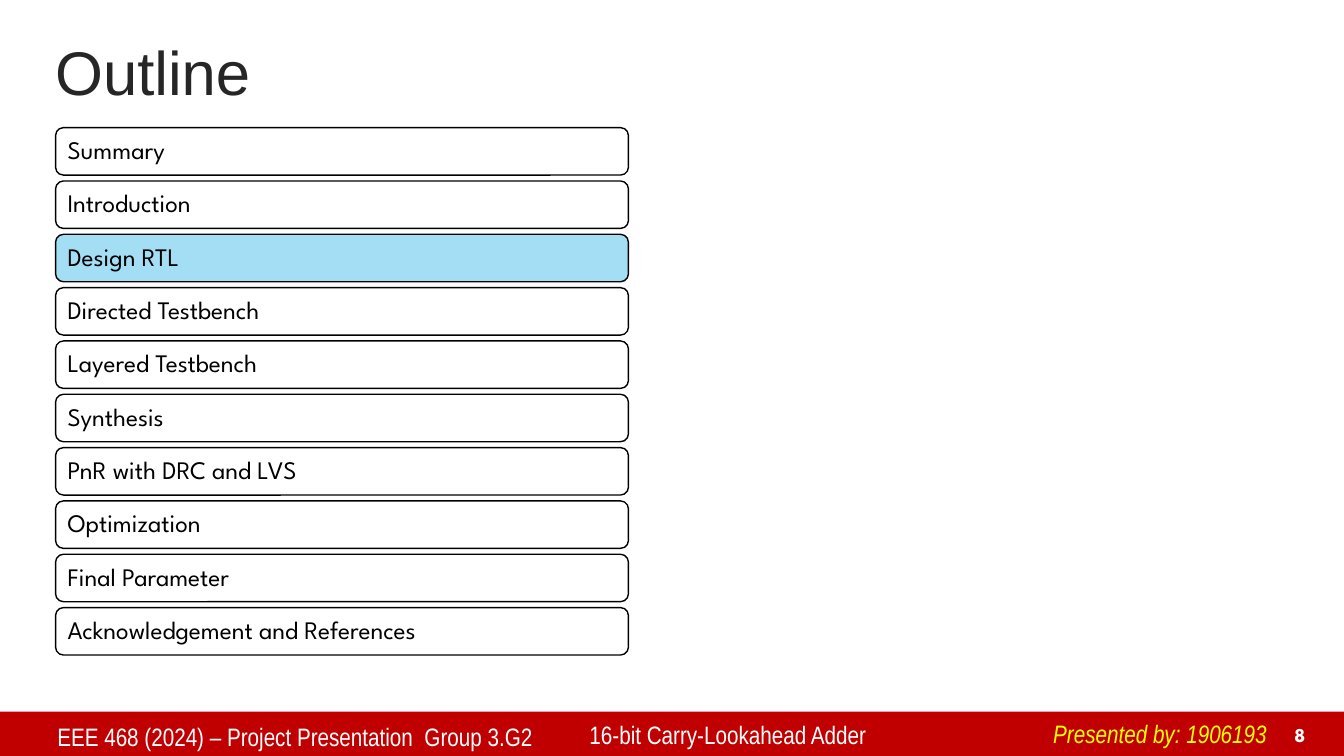
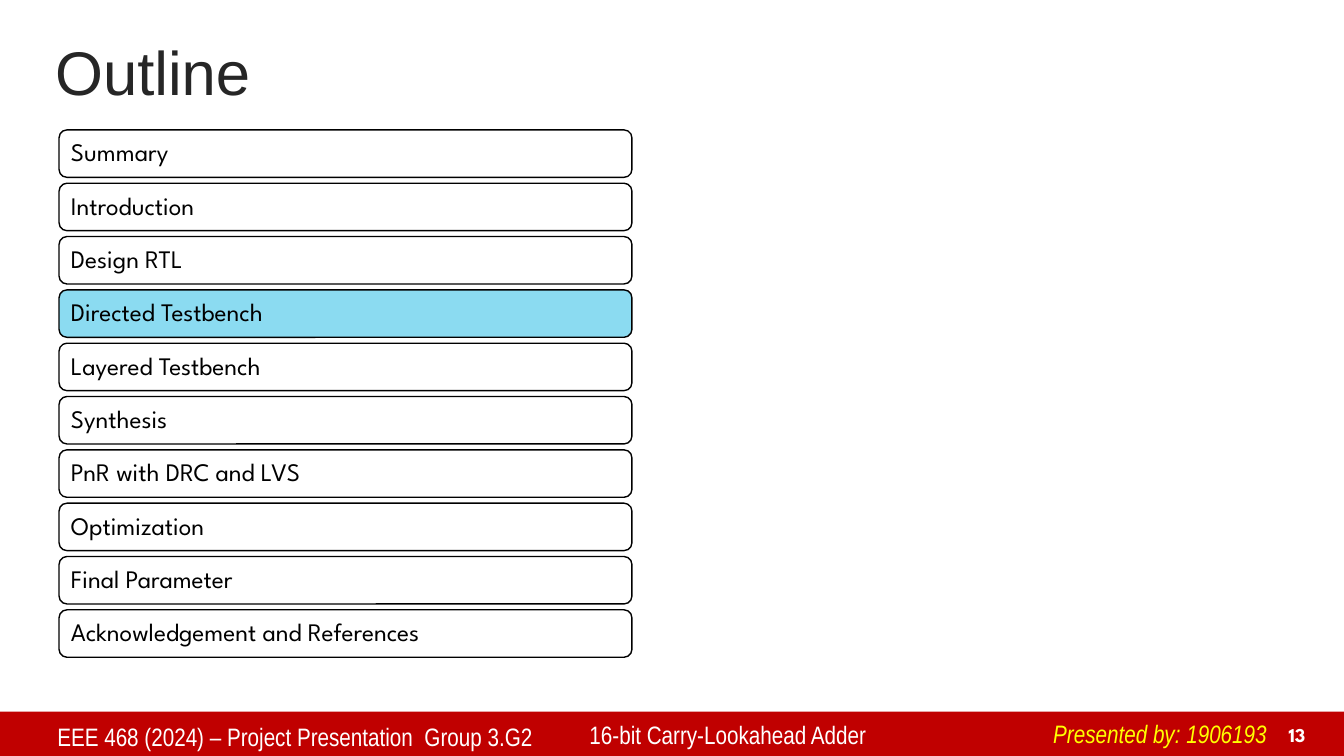
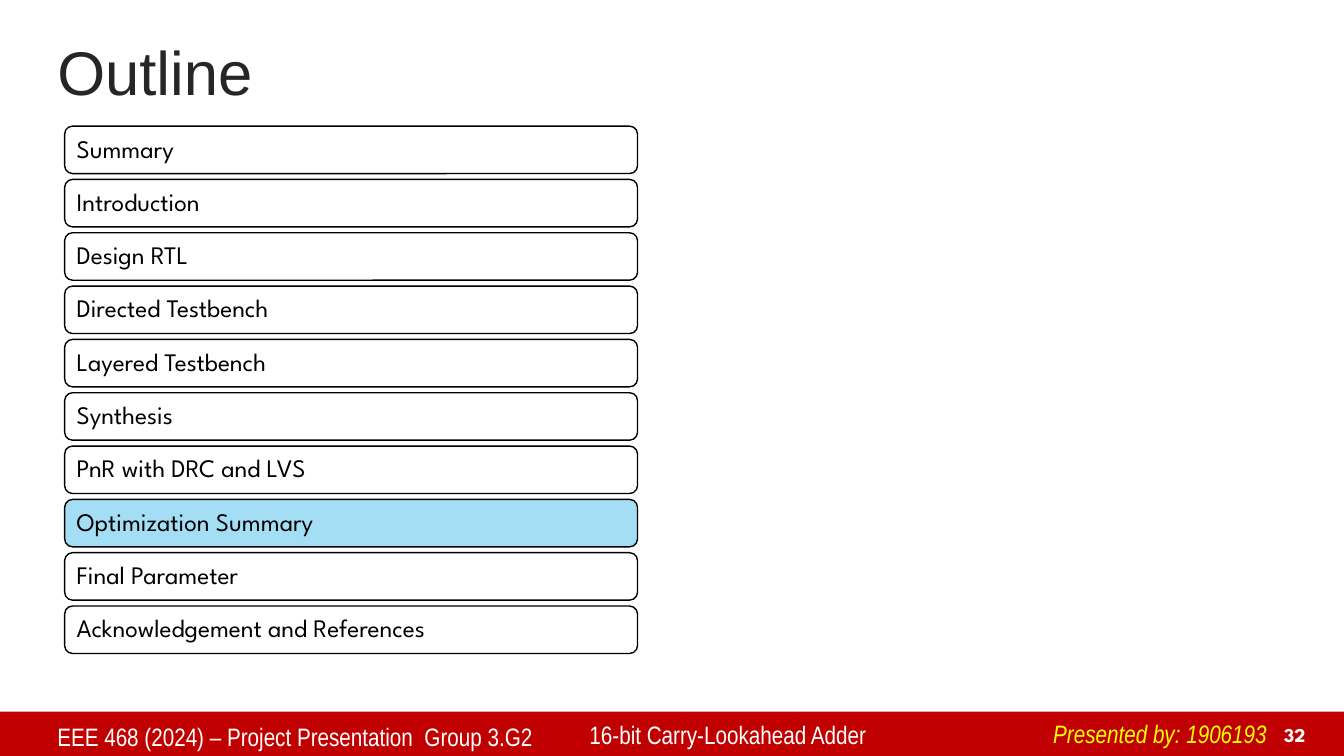
from dataclasses import dataclass

from pptx import Presentation
from pptx.dml.color import RGBColor
from pptx.enum.shapes import MSO_SHAPE
from pptx.enum.text import MSO_ANCHOR, MSO_AUTO_SIZE, PP_ALIGN
from pptx.util import Pt

RECTANGLE = MSO_SHAPE.RECTANGLE
ROUNDED = MSO_SHAPE.ROUNDED_RECTANGLE
TOP, MIDDLE, BOTTOM = MSO_ANCHOR.TOP, MSO_ANCHOR.MIDDLE, MSO_ANCHOR.BOTTOM
LEFT, RIGHT = PP_ALIGN.LEFT, PP_ALIGN.RIGHT
GROW = MSO_AUTO_SIZE.SHAPE_TO_FIT_TEXT

SLIDE_WIDTH, SLIDE_HEIGHT = 960, 540
BAND_TOP = 508.3
WHITE, BLACK, RED = "FFFFFF", "000000", "C00000"
YELLOW, CHARCOAL = "FFFF00", "262626"
PALE_BLUE, SKY_BLUE = "A4DEF4", "8BDBF1"

ROW_WIDTH, ROW_HEIGHT, ROW_PITCH = 409.2, 33.9, 38.09
ROW_INSET = 6.9
SECTIONS = (
    "Summary", "Introduction", "Design RTL", "Directed Testbench",
    "Layered Testbench", "Synthesis", "PnR with DRC and LVS",
    "Optimization", "Final Parameter", "Acknowledgement and References",
)


@dataclass(frozen=True)
class Area:
    left: float
    top: float
    width: float
    height: float

    def lengths(self) -> tuple:
        return Pt(self.left), Pt(self.top), Pt(self.width), Pt(self.height)


@dataclass(frozen=True)
class TextStyle:
    font: str
    size: float
    color: str
    bold: bool = False
    italic: bool = False
    align: int = LEFT
    anchor: int = TOP
    spacing: float = 1.0
    wrap: bool = True


@dataclass(frozen=True)
class Label:
    text: str
    area: Area
    style: TextStyle


@dataclass(frozen=True)
class Outline:
    number: int
    active: int
    left: float
    top: float
    highlight: str = PALE_BLUE
    title_left: float = 32.4
    active_text: str = ""


TITLE = TextStyle("Arial", 44, CHARCOAL, anchor=MIDDLE, spacing=0.9)
ROW = TextStyle("League Spartan", 18, BLACK, anchor=MIDDLE, spacing=0.9)
NUMBER = TextStyle("League Spartan", 14, WHITE, bold=True, align=RIGHT, anchor=BOTTOM)
FOOTER = TextStyle("Arial Narrow", 18, WHITE)
PRESENTER = TextStyle("Arial Narrow", 18, YELLOW, italic=True, wrap=False)

FOOTERS = (
    Label("EEE 468 (2024) – Project Presentation  Group 3.G2",
          Area(33.84, 511.9, 380, 28), FOOTER),
    Label("16-bit Carry-Lookahead Adder", Area(414, 510.5, 305, 29), FOOTER),
    Label("Presented by: 1906193", Area(745.2, 509.8, 169.2, 28.8), PRESENTER),
)

OUTLINES = (
    Outline(8, 2, 39.7, 91.2),
    Outline(13, 3, 42.2, 92.8, highlight=SKY_BLUE),
    Outline(32, 7, 46.2, 90.1, title_left=33.84, active_text="Optimization Summary"),
)


def rgb(code: str) -> RGBColor:
    return RGBColor.from_string(code)


def set_all(target, values: dict) -> None:
    for name, value in values.items():
        setattr(target, name, value)


def write(shape, text: str, style: TextStyle) -> None:
    frame = shape.text_frame
    set_all(frame, {"word_wrap": style.wrap, "vertical_anchor": style.anchor})
    if not style.wrap:
        frame.auto_size = GROW
    para = frame.paragraphs[0]
    set_all(para, {"alignment": style.align, "line_spacing": style.spacing})
    span = para.add_run()
    span.text = text
    set_all(span.font, {"name": style.font, "size": Pt(style.size),
                        "bold": style.bold, "italic": style.italic})
    span.font.color.rgb = rgb(style.color)


def add_label(page, label: Label) -> None:
    write(page.shapes.add_textbox(*label.area.lengths()), label.text, label.style)


def add_panel(page, kind: int, area: Area, fill: str, line: str = ""):
    panel = page.shapes.add_shape(kind, *area.lengths())
    panel.shadow.inherit = False
    panel.fill.solid()
    panel.fill.fore_color.rgb = rgb(fill)
    if line:
        panel.line.color.rgb = rgb(line)
        panel.line.width = Pt(1)
    else:
        panel.line.fill.background()
    return panel


def add_frame(page, number: int, title_left: float) -> None:
    band = Area(0, BAND_TOP, SLIDE_WIDTH, SLIDE_HEIGHT - BAND_TOP)
    add_panel(page, RECTANGLE, band, RED)
    add_label(page, Label("Outline", Area(title_left, 25.2, 792, 57.6), TITLE))
    add_label(page, Label(str(number), Area(898.6, 511.9, 41, 24.5), NUMBER))
    for label in FOOTERS:
        add_label(page, label)


def add_outline(deck, outline: Outline) -> None:
    page = deck.slides.add_slide(deck.slide_layouts[6])
    add_frame(page, outline.number, outline.title_left)
    for index, section in enumerate(SECTIONS):
        active = index == outline.active
        text = outline.active_text if active and outline.active_text else section
        area = Area(outline.left, outline.top + index * ROW_PITCH, ROW_WIDTH, ROW_HEIGHT)
        box = add_panel(page, ROUNDED, area, outline.highlight if active else WHITE, BLACK)
        set_all(box.text_frame, {"margin_left": Pt(ROW_INSET), "margin_right": Pt(ROW_INSET)})
        write(box, text, ROW)


def main() -> None:
    deck = Presentation()
    set_all(deck, {"slide_width": Pt(SLIDE_WIDTH), "slide_height": Pt(SLIDE_HEIGHT)})
    for outline in OUTLINES:
        add_outline(deck, outline)
    deck.save("out.pptx")


if __name__ == "__main__":
    main()
